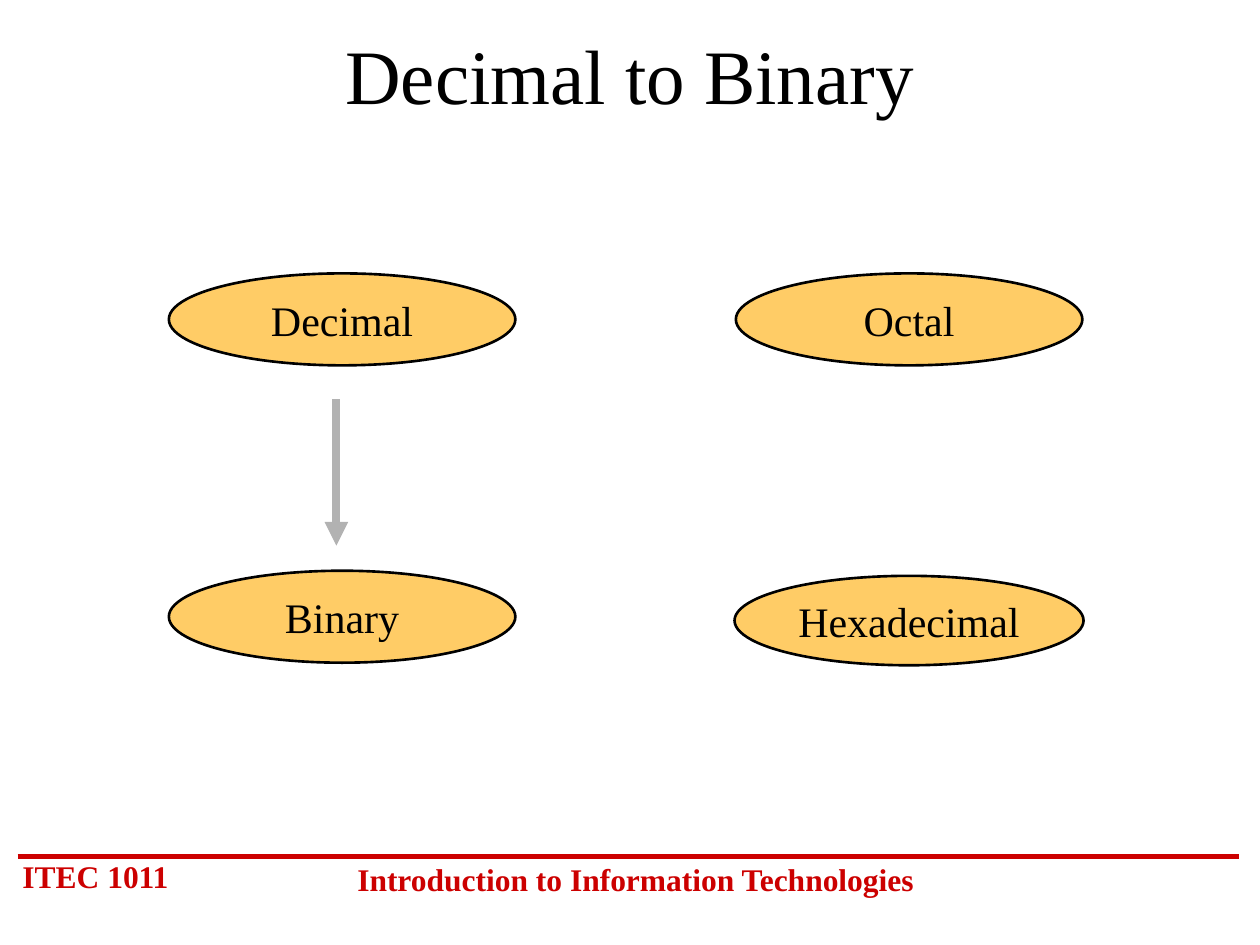
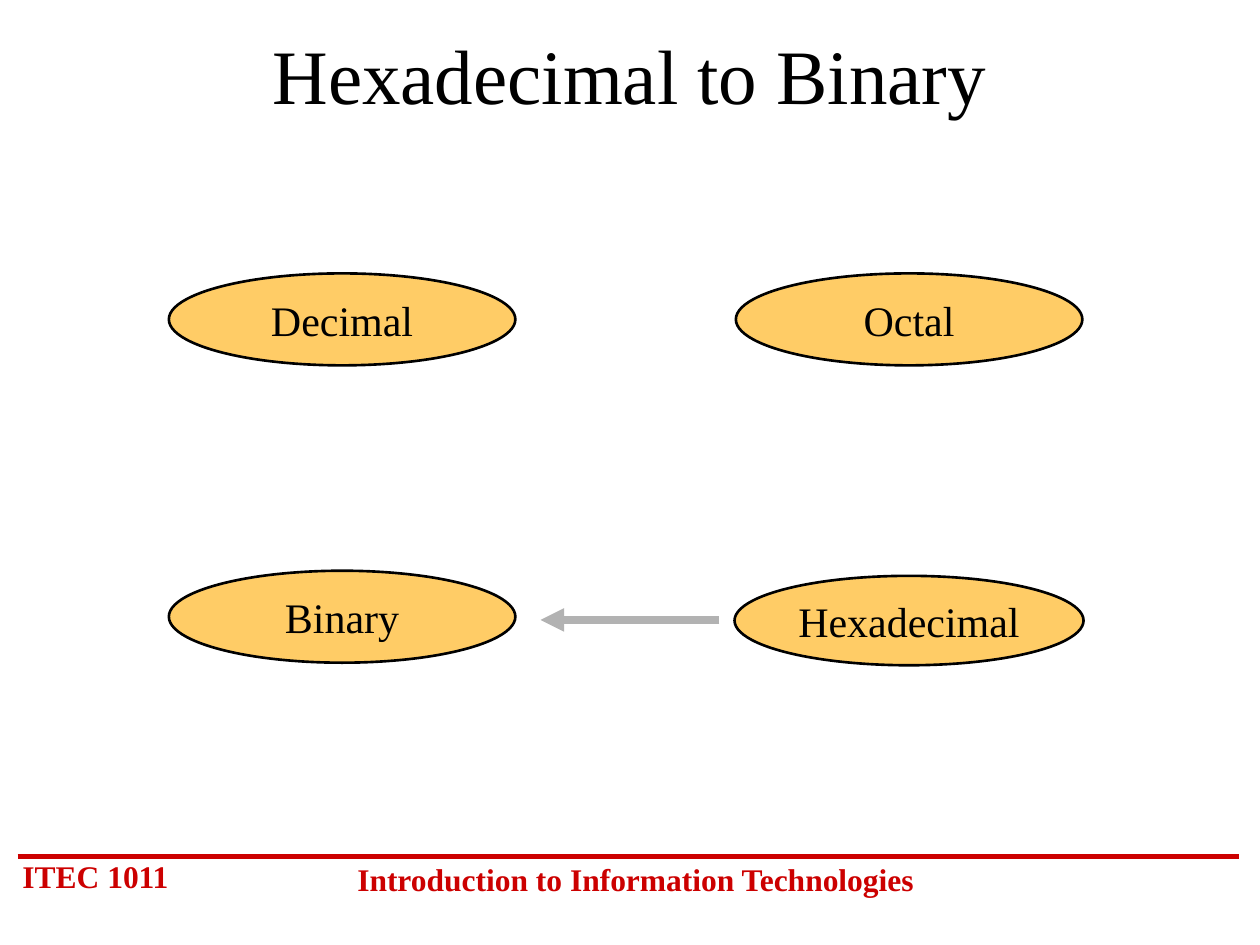
from lxml.etree import SubElement
from pptx import Presentation
from pptx.dml.color import RGBColor
from pptx.enum.shapes import MSO_CONNECTOR as Connector, MSO_SHAPE as Shape
from pptx.enum.text import MSO_ANCHOR as Anchor, PP_ALIGN as Align
from pptx.oxml.ns import qn
from pptx.util import Inches, Pt

BLACK = RGBColor(0x00, 0x00, 0x00)
RED = RGBColor(0xCC, 0x00, 0x00)
AMBER = RGBColor(0xFF, 0xCC, 0x66)
GREY = RGBColor(0xB2, 0xB2, 0xB2)

FONT = "Times New Roman"
TITLE_FONT = {"name": FONT, "size": Pt(44), "bold": False}
NODE_FONT = {"name": FONT, "size": Pt(24), "bold": False}
FOOTER_FONT = {"name": FONT, "size": Pt(18), "bold": True}

NUMBER_SYSTEMS = {
    "Hexadecimal": (5.83, 4.57, 2.77, 0.71),
    "Decimal": (1.34, 2.17, 2.75, 0.73),
    "Octal": (5.84, 2.17, 2.75, 0.73),
    "Binary": (1.34, 4.53, 2.75, 0.73),
}
CONVERSIONS = [
    ("Decimal to Binary", (2.67, 3.17), (2.67, 4.33)),
    ("Hexadecimal to Binary", (5.71, 4.92), (4.29, 4.92)),
]


class Deck:
    def __init__(self):
        self.presentation = Presentation()
        self.presentation.slide_width = Inches(10)
        self.presentation.slide_height = Inches(7.5)
        self.slide = None

    def new_slide(self, title):
        layout = self.presentation.slide_layouts.get_by_name("Title Only")
        self.slide = self.presentation.slides.add_slide(layout)
        self.footer()
        heading = self.slide.shapes.title
        heading.left, heading.top, heading.width, heading.height = map(
            Inches, (0.75, 0.17, 8.5, 0.83))
        self.set_text(heading, title, TITLE_FONT, BLACK)

    def set_text(self, shape, text, font_values, color,
                 align=Align.CENTER, anchor=Anchor.MIDDLE, wrap=True):
        frame = shape.text_frame
        frame.text = text
        frame.word_wrap = wrap
        frame.vertical_anchor = anchor
        paragraph = frame.paragraphs[0]
        paragraph.alignment = align
        font = paragraph.runs[0].font
        for attribute, value in font_values.items():
            setattr(font, attribute, value)
        font.color.rgb = color

    def footer(self):
        self.line((0.14, 6.8), (9.83, 6.8), RED, 3)
        self.footer_text("ITEC 1011", (0.08, 6.75, 1.5, 0.4), Align.LEFT)
        self.footer_text("Introduction to Information Technologies",
                         (2.67, 6.78, 4.75, 0.4), Align.CENTER)

    def footer_text(self, text, box, align):
        label = self.slide.shapes.add_textbox(*map(Inches, box))
        self.set_text(label, text, FOOTER_FONT, RED, align, Anchor.TOP)

    def line(self, start, end, color, width):
        connector = self.slide.shapes.add_connector(
            Connector.STRAIGHT, *map(Inches, start + end))
        connector.line.color.rgb = color
        connector.line.width = Pt(width)
        SubElement(connector._element.spPr, qn("a:effectLst"))
        return connector

    def arrow(self, start, end):
        connector = self.line(start, end, GREY, 4.5)
        outline = connector._element.spPr.find(qn("a:ln"))
        SubElement(outline, qn("a:tailEnd"), type="triangle")

    def node(self, text, box):
        ellipse = self.slide.shapes.add_shape(Shape.OVAL, *map(Inches, box))
        ellipse.shadow.inherit = False
        ellipse.fill.solid()
        ellipse.fill.fore_color.rgb = AMBER
        ellipse.line.color.rgb = BLACK
        ellipse.line.width = Pt(1.5)
        self.set_text(ellipse, text, NODE_FONT, BLACK, wrap=False)


def main():
    deck = Deck()
    for title, start, end in CONVERSIONS:
        deck.new_slide(title)
        for system, box in NUMBER_SYSTEMS.items():
            deck.node(system, box)
        deck.arrow(start, end)
    deck.presentation.save("out.pptx")


if __name__ == "__main__":
    main()
